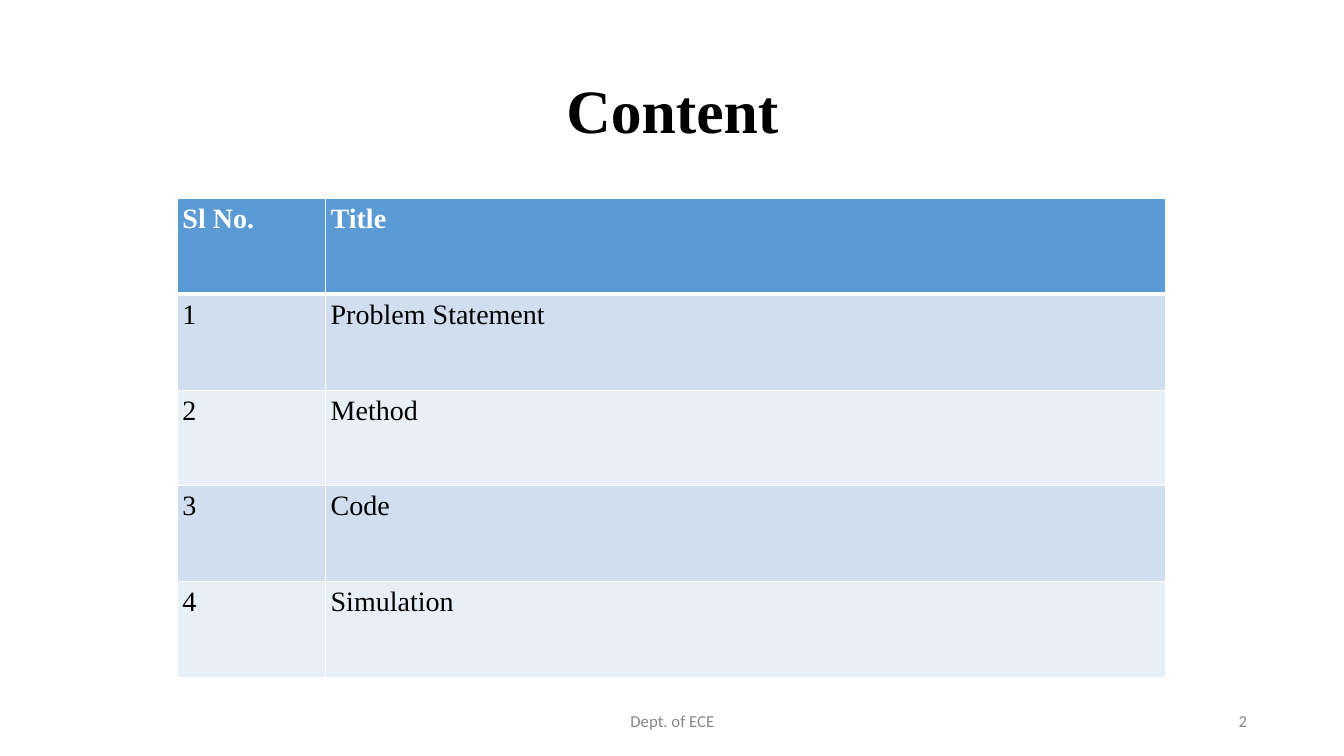
from lxml import etree
from pptx import Presentation
from pptx.dml.color import RGBColor
from pptx.enum import text as t
from pptx.oxml import ns
from pptx.util import Inches, Pt

MARGIN = Inches(0.05)
SERIF = "Times New Roman"
ROWS = [
    ("Sl No.", "Title"),
    ("1", "Problem Statement"),
    ("2", "Method"),
    ("3", "Code"),
    ("4", "Simulation"),
]
COLUMN_WIDTHS = [1.47, 8.33]
ROW_HEIGHT = 0.95
HEADER_FILL, ODD_FILL, EVEN_FILL = "5B9BD5", "D0DEEF", "E9EFF7"


def write(frame, content, size, font=SERIF, color="000000", bold=False,
          align=t.PP_ALIGN.LEFT, anchor=t.MSO_ANCHOR.MIDDLE, wrap=True):
    frame.word_wrap = wrap
    frame.vertical_anchor = anchor
    frame.margin_left = frame.margin_right = MARGIN
    frame.margin_top = frame.margin_bottom = MARGIN
    paragraph = frame.paragraphs[0]
    paragraph.alignment = align
    run = paragraph.add_run()
    run.text = content
    run.font.name = font
    run.font.size = Pt(size)
    run.font.bold = bold
    run.font.color.rgb = RGBColor.from_string(color)


def add_border(cell, side, points):
    """Draw a white line on one side (L, R, T or B) of a table cell."""
    properties = cell._tc.get_or_add_tcPr()
    line = etree.SubElement(properties, ns.qn(f"a:ln{side}"), w=str(Pt(points)))
    fill = etree.SubElement(line, ns.qn("a:solidFill"))
    etree.SubElement(fill, ns.qn("a:srgbClr"), val="FFFFFF")


presentation = Presentation()
presentation.slide_width = Inches(13.33)
presentation.slide_height = Inches(7.5)
slide = presentation.slides.add_slide(presentation.slide_layouts[5])

title = slide.shapes.title
title.left, title.top = Inches(0.92), Inches(0.4)
title.width, title.height = Inches(11.5), Inches(1.45)
write(title.text_frame, "Content", 44, bold=True, align=t.PP_ALIGN.CENTER)
title.text_frame.paragraphs[0].line_spacing = 0.9

table = slide.shapes.add_table(
    len(ROWS), len(COLUMN_WIDTHS), Inches(1.76), Inches(1.97),
    Inches(sum(COLUMN_WIDTHS)), Inches(ROW_HEIGHT * len(ROWS))).table
for column, width in zip(table.columns, COLUMN_WIDTHS):
    column.width = Inches(width)

for row_index, labels in enumerate(ROWS):
    table.rows[row_index].height = Inches(ROW_HEIGHT)
    is_header = row_index == 0
    row_fill = HEADER_FILL if is_header else ODD_FILL if row_index % 2 else EVEN_FILL
    for column_index, label in enumerate(labels):
        cell = table.cell(row_index, column_index)
        write(cell.text_frame, label, 20, bold=is_header,
              color="FFFFFF" if is_header else "000000")
        cell.vertical_anchor = t.MSO_ANCHOR.TOP
        cell.margin_left = cell.margin_right = MARGIN
        cell.margin_top = cell.margin_bottom = MARGIN
        for side in "LRTB":
            below_header = (row_index, side) in [(0, "B"), (1, "T")]
            add_border(cell, side, 3 if below_header else 1)
        cell.fill.solid()
        cell.fill.fore_color.rgb = RGBColor.from_string(row_fill)

for label, left, width, align, wrap in [
    ("Dept. of ECE", 4.47, 4.4, t.PP_ALIGN.CENTER, True),
    ("2", 12.22, 0.2, t.PP_ALIGN.RIGHT, False),
]:
    box = slide.shapes.add_textbox(Inches(left), Inches(7.02), Inches(width), Inches(0.27))
    write(box.text_frame, label, 12, font="Calibri", color="888888", align=align, wrap=wrap)
    box.text_frame.auto_size = t.MSO_AUTO_SIZE.SHAPE_TO_FIT_TEXT

presentation.save("out.pptx")
